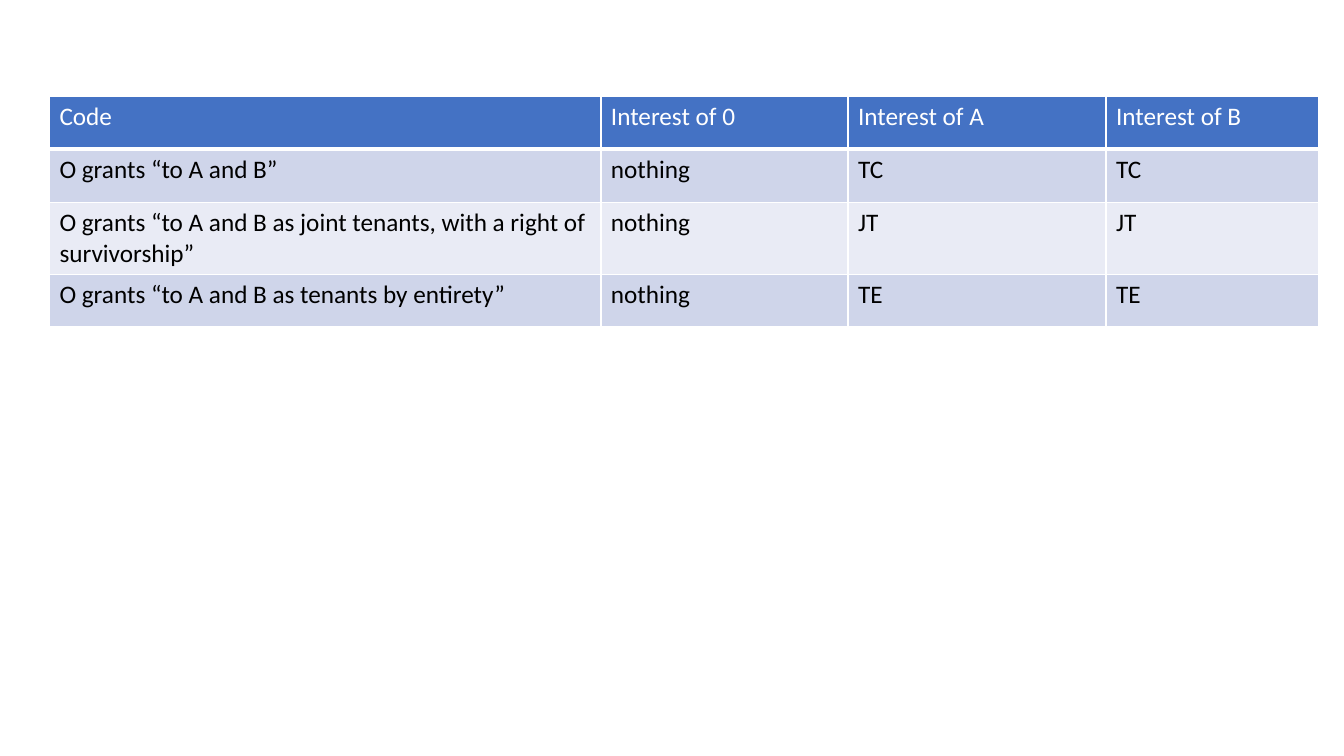
import pptx
import pptx.dml.color
import pptx.oxml
import pptx.oxml.ns
import pptx.util
from pptx.util import Inches

COLORS = {
    "header": "4472C4",
    "odd": "CFD5EA",
    "even": "E9EBF5",
    "light": "FFFFFF",
    "dark": "000000",
}
COLUMN_WIDTHS = [5.47, 2.45, 2.56, 2.11]
ROW_HEIGHTS = [0.52, 0.53, 0.52, 0.52]
INTERESTS = [
    ["Code", "Interest of 0", "Interest of A", "Interest of B"],
    ["O grants “to A and B”", "nothing", "TC", "TC"],
    ["O grants “to A and B as joint tenants, with a right of survivorship”", "nothing", "JT", "JT"],
    ["O grants “to A and B as tenants by entirety”", "nothing", "TE", "TE"],
]


class PageBuilder:
    font = "Calibri"
    size = 18

    def __init__(self, page):
        self.page = page

    def color(self, name):
        return pptx.dml.color.RGBColor.from_string(COLORS[name])

    def border(self, cell, side, points):
        namespace = pptx.oxml.ns.nsdecls("a")
        width = pptx.util.Pt(points)
        line = pptx.oxml.parse_xml(
            f'<a:{side} {namespace} w="{width}"><a:solidFill>'
            f'<a:srgbClr val="{COLORS["light"]}"/></a:solidFill></a:{side}>'
        )
        cell._tc.get_or_add_tcPr().append(line)

    def cell(self, cell, text, row):
        widths = {"lnL": 1, "lnR": 1, "lnT": 3 if row == 1 else 1, "lnB": 3 if row == 0 else 1}
        for side, points in widths.items():
            self.border(cell, side, points)
        cell.fill.solid()
        band = "header" if row == 0 else "odd" if row % 2 else "even"
        cell.fill.fore_color.rgb = self.color(band)
        span = cell.text_frame.paragraphs[0].add_run()
        span.text = text
        span.font.name = self.font
        span.font.size = pptx.util.Pt(self.size)
        span.font.bold = False
        span.font.color.rgb = self.color("light" if row == 0 else "dark")

    def table(self, left, top, widths, heights, rows):
        frame = self.page.shapes.add_table(
            len(rows), len(widths), Inches(left), Inches(top),
            Inches(sum(widths)), Inches(sum(heights)),
        )
        table = frame.table
        for column, width in zip(table.columns, widths):
            column.width = Inches(width)
        for index, (height, texts) in enumerate(zip(heights, rows)):
            table.rows[index].height = Inches(height)
            for position, text in enumerate(texts):
                self.cell(table.cell(index, position), text, index)


def main():
    deck = pptx.Presentation()
    deck.slide_width = Inches(13.33)
    deck.slide_height = Inches(7.5)
    page = deck.slides.add_slide(deck.slide_layouts[6])
    PageBuilder(page).table(0.49, 0.96, COLUMN_WIDTHS, ROW_HEIGHTS, INTERESTS)
    deck.save("out.pptx")


if __name__ == "__main__":
    main()
